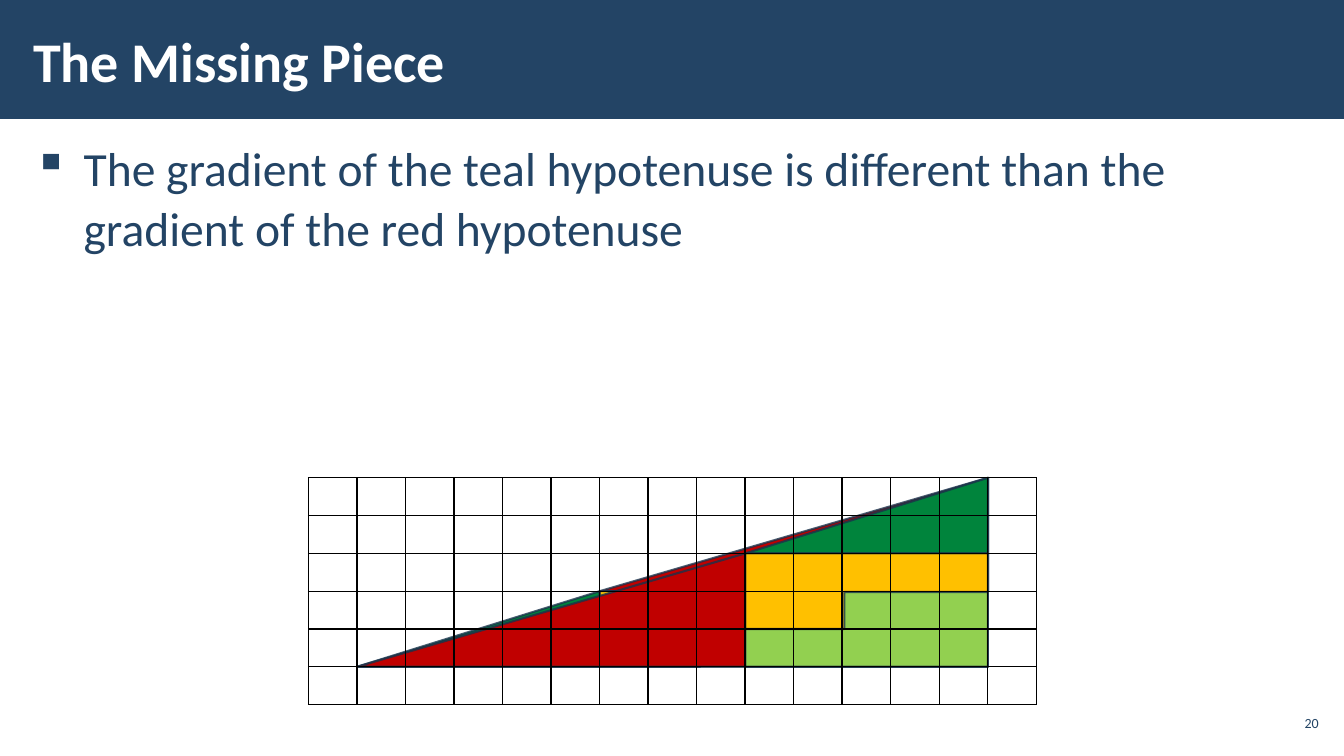
from lxml.etree import SubElement
from pptx import Presentation
from pptx.dml.color import RGBColor
from pptx.enum.shapes import MSO_SHAPE as Preset
from pptx.enum.text import MSO_ANCHOR as Anchor, PP_ALIGN as Align
from pptx.oxml import parse_xml
from pptx.oxml.ns import nsdecls, qn
from pptx.util import Inches, Pt

COLORS = {
    "navy": "234465",
    "white": "FFFFFF",
    "edge": "1A334C",
    "red": "C00000",
    "teal": "00843C",
    "amber": "FFC000",
    "lime": "92D050",
    "grid": "000000",
}
FONT = "Calibri"
SLIDE_W, SLIDE_H = 13.33, 7.5
GRID_LEFT, GRID_TOP = 3.06, 4.74
GRID_W, GRID_H = 7.22, 2.25
COLS, ROWS = 15, 6


def rgb(name):
    """Return the named colour."""
    return RGBColor.from_string(COLORS[name])


def apply(target, values):
    """Set each format value on the target."""
    for key, value in values.items():
        setattr(target, key, value)


def grid_x(col):
    """Return the position of a grid column's left edge."""
    return Inches(GRID_LEFT + col * GRID_W / COLS)


def grid_y(row):
    """Return the position of a grid row's top edge."""
    return Inches(GRID_TOP + row * GRID_H / ROWS)


def paint_piece(piece, color):
    """Give a puzzle piece its fill and translucent edge."""
    piece.shadow.inherit = False
    piece.fill.solid()
    piece.fill.fore_color.rgb = rgb(color)
    piece.line.width = Pt(1.5)
    piece.line.color.rgb = rgb("edge")
    edge = piece.line._get_or_add_ln().find(".//" + qn("a:srgbClr"))
    SubElement(edge, qn("a:alpha"), val="80000")


def add_triangle(shapes, color, left, top, right, bottom):
    """Draw a right triangle whose right angle is at the bottom right."""
    outline = shapes.build_freeform(grid_x(left), grid_y(bottom))
    outline.add_line_segments(
        [(grid_x(right), grid_y(top)), (grid_x(right), grid_y(bottom))], close=True)
    paint_piece(outline.convert_to_shape(), color)


def add_corner(shapes, color, left, top, adjustments, turn=0):
    """Draw an L-shaped piece five columns wide and two rows high."""
    x, y = grid_x(left), grid_y(top)
    corner = shapes.add_shape(
        Preset.from_xml("corner"), x, y, grid_x(left + 5) - x, grid_y(top + 2) - y)
    for index, share in enumerate(adjustments):
        corner.adjustments[index] = share
    corner.rotation = turn
    corner._element.spPr.find(qn("a:xfrm")).set("flipH", "1")
    paint_piece(corner, color)


def add_grid(shapes):
    """Lay the transparent square grid over the pieces."""
    table = shapes.add_table(ROWS, COLS, grid_x(0), grid_y(0),
                             Inches(GRID_W), Inches(GRID_H)).table
    apply(table, {"first_row": False, "horz_banding": False})
    for col, column in enumerate(table.columns):
        column.width = grid_x(col + 1) - grid_x(col)
    for index, row in enumerate(table.rows):
        row.height = grid_y(index + 1) - grid_y(index)
    margins = dict.fromkeys(
        ("margin_left", "margin_top", "margin_right", "margin_bottom"), 0)
    for cell in table.iter_cells():
        apply(cell, margins)
        properties = cell._tc.get_or_add_tcPr()
        for side in ("lnL", "lnR", "lnT", "lnB"):
            properties.append(parse_xml(
                f'<a:{side} {nsdecls("a")} w="{Pt(1)}"><a:solidFill>'
                f'<a:srgbClr val="{COLORS["grid"]}"/></a:solidFill></a:{side}>'))
        cell.fill.background()


def add_text(shapes, text, box, inset, color, font, frame=None, paragraph=None):
    """Write one paragraph in a text box and return the paragraph."""
    text_frame = shapes.add_textbox(*map(Inches, box)).text_frame
    apply(text_frame, {
        "word_wrap": True,
        "margin_left": Inches(inset), "margin_right": Inches(inset),
        "margin_top": Inches(0.04), "margin_bottom": Inches(0.04),
        **(frame or {})})
    line = text_frame.paragraphs[0]
    line.text = text
    apply(line, paragraph or {})
    for run in line.runs:
        apply(run.font, {"name": FONT, **font})
        run.font.color.rgb = rgb(color)
    return line


def add_bullet(line):
    """Hang a square bullet in front of the paragraph."""
    properties = line._p.get_or_add_pPr()
    properties.set("marL", str(Inches(0.5)))
    properties.set("indent", str(Inches(-0.5)))
    SubElement(properties, qn("a:buChar"), char="▪")


def add_header(shapes):
    """Draw the title band and its title."""
    band = shapes.add_shape(Preset.RECTANGLE, 0, 0, Inches(SLIDE_W), Inches(1.18))
    band.shadow.inherit = False
    band.fill.solid()
    band.fill.fore_color.rgb = rgb("navy")
    band.line.fill.background()
    add_text(shapes, "The Missing Piece", (0.21, 0.11, 10.4, 0.97), 0.12, "white",
             {"size": Pt(40), "bold": True}, {"vertical_anchor": Anchor.MIDDLE})


def add_puzzle(shapes):
    """Stack both arrangements of the four pieces under the grid."""
    add_triangle(shapes, "red", 6, 0, 14, 3)
    add_triangle(shapes, "teal", 1, 3, 6, 5)
    add_corner(shapes, "amber", 6, 3, (0.52, 1.33), turn=180)
    add_corner(shapes, "lime", 9, 3, (0.48, 1.93))

    front = shapes.add_group_shape().shapes
    add_triangle(front, "red", 1, 2, 9, 5)
    add_triangle(front, "teal", 9, 0, 14, 2)
    add_corner(front, "lime", 9, 3, (0.52, 1.93))
    add_corner(front, "amber", 9, 2, (0.51, 1.31), turn=180)
    add_grid(shapes)


def main():
    """Build and save the slide."""
    deck = Presentation()
    apply(deck, {"slide_width": Inches(SLIDE_W), "slide_height": Inches(SLIDE_H)})
    shapes = deck.slides.add_slide(deck.slide_layouts[6]).shapes
    add_header(shapes)
    add_text(shapes, "20", (12.65, 7, 0.47, 0.34), 0.04, "navy", {"size": Pt(10)},
             {"vertical_anchor": Anchor.MIDDLE}, {"alignment": Align.RIGHT})
    add_puzzle(shapes)
    statement = add_text(
        shapes,
        "The gradient of the teal hypotenuse is different than the \v"
        "gradient of the red hypotenuse",
        (0.21, 1.31, 12.91, 1.28), 0.12, "navy", {"size": Pt(34)},
        paragraph={"line_spacing": 1.05, "space_before": Pt(6), "space_after": Pt(6)})
    add_bullet(statement)
    deck.save("out.pptx")


if __name__ == "__main__":
    main()
